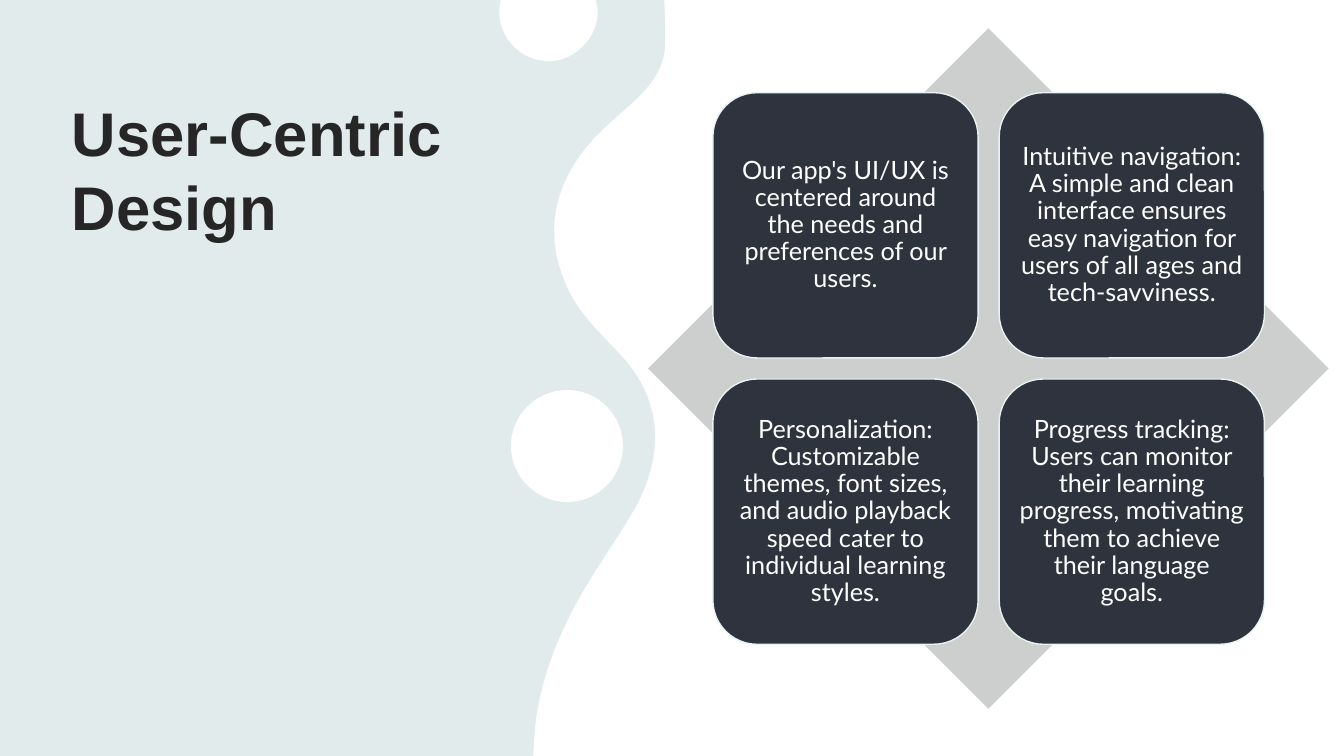
from lxml import etree
from pptx import Presentation
from pptx.dml.color import RGBColor
from pptx.enum.shapes import MSO_SHAPE
from pptx.enum.text import MSO_ANCHOR, MSO_AUTO_SIZE, PP_ALIGN
from pptx.oxml.ns import qn
from pptx.util import Pt

RECTANGLE, DIAMOND = MSO_SHAPE.RECTANGLE, MSO_SHAPE.DIAMOND
ROUNDED_RECTANGLE = MSO_SHAPE.ROUNDED_RECTANGLE
TOP, MIDDLE = MSO_ANCHOR.TOP, MSO_ANCHOR.MIDDLE
LEFT, CENTER = PP_ALIGN.LEFT, PP_ALIGN.CENTER
NO_AUTOFIT = MSO_AUTO_SIZE.NONE

PALE = RGBColor(0xE9, 0xF3, 0xF3)
GRAY = RGBColor(0xAE, 0xAE, 0xAE)
WHITE = RGBColor(0xFF, 0xFF, 0xFF)
SILVER = RGBColor(0xCD, 0xCE, 0xCE)
SLATE = RGBColor(0x2F, 0x33, 0x3D)
CHARCOAL = RGBColor(0x26, 0x26, 0x26)

SLIDE_WIDTH, SLIDE_HEIGHT = 960, 540
CARD_SIZE, CARD_PITCH = 189.5, 204.5
CARDS_LEFT, CARDS_TOP = 509.2, 66.2

WAVE = ((474.5, 0), [
    (966.2, 0), (966.2, 540), (380.9, 540), (381.6, 528.5),
    (383, 501.1, 391, 473.8, 403.9, 446.4),
    (416.9, 418.3, 436.3, 392.4, 452.2, 365.8),
    (474.5, 326.9, 475.9, 285.1, 439.2, 249.1),
    (426.2, 235.4, 411.8, 221, 404.6, 203.8),
    (385.2, 159.8, 398.9, 118.8, 439.9, 84.2),
    (455.8, 69.8, 473.8, 56.2, 475.2, 33.1),
    (475.2, 26.6, 475.2, 20.9, 475.2, 14.4),
])
TOP_BUBBLE = ((357.8, 0), [
    (425.5, 0), (427, 6.5),
    (427.7, 22.3, 416.9, 37.4, 401, 42.5),
    (381.9, 47.5, 362.9, 36, 357.8, 17.3),
    (356.4, 13, 356.4, 7.9, 357.1, 3.6),
])
LOWER_BUBBLE = ((405.2, 278.6), [
    (427.2, 278.6, 445, 296.6, 445, 318.6),
    (445, 340.6, 427.2, 358.6, 405.2, 358.6),
    (383.2, 358.6, 365, 340.6, 365, 318.6),
    (365, 296.6, 383.2, 278.6, 405.2, 278.6),
])

CARD_TEXTS = [
    "Our app's UI/UX is centered around the needs and preferences of our users.",
    "Intuitive navigation: A simple and clean interface ensures easy navigation "
    "for users of all ages and tech-savviness.",
    "Personalization: Customizable themes, font sizes, and audio playback speed "
    "cater to individual learning styles.",
    "Progress tracking: Users can monitor their learning progress, motivating "
    "them to achieve their language goals.",
]


def paint(shape, fill, line=None):
    shape.shadow.inherit = False
    shape.fill.solid()
    shape.fill.fore_color.rgb = fill
    if line is None:
        shape.line.fill.background()
    else:
        shape.line.color.rgb = line
        shape.line.width = Pt(1)


def add_shape(slide, kind, left, top, width, height, fill, line=None):
    shape = slide.shapes.add_shape(kind, Pt(left), Pt(top), Pt(width), Pt(height))
    paint(shape, fill, line)
    return shape


def set_opacity(shape, percent):
    color = shape.element.spPr.find(qn("a:solidFill"))[0]
    etree.SubElement(color, qn("a:alpha")).set("val", str(percent * 1000))


def segment_points(segment):
    return [(Pt(x), Pt(y)) for x, y in zip(segment[::2], segment[1::2])]


def bend_curves(shape, segments):
    lines = iter(list(shape.element.iter(qn("a:lnTo"))))
    for segment in segments:
        line = next(lines)
        if len(segment) == 6:
            line.addprevious(etree.Element(qn("a:cubicBezTo")))
            curve = line.getprevious()
            for control in (line, next(lines), next(lines)):
                curve.append(control[0])
                control.getparent().remove(control)


def add_outline(slide, contours, fill):
    builder = None
    for (x, y), segments in contours:
        if builder is None:
            builder = slide.shapes.build_freeform(Pt(x), Pt(y))
        else:
            builder.move_to(Pt(x), Pt(y))
        points = [point for segment in segments for point in segment_points(segment)]
        builder.add_line_segments(points, close=True)
    shape = builder.convert_to_shape()
    bend_curves(shape, [segment for _, segments in contours for segment in segments])
    paint(shape, fill)


def write(paragraph, text, font, size, color, bold=False):
    run = paragraph.add_run()
    run.text = text
    run.font.name = font
    run.font.size = Pt(size)
    run.font.color.rgb = color
    run.font.bold = bold


def set_title(slide, text):
    title = slide.shapes.title
    title.element.getparent().append(title.element)
    title.left, title.top = Pt(44.2), Pt(64.1)
    title.width, title.height = Pt(291.6), Pt(426.2)
    frame = title.text_frame
    frame.auto_size = NO_AUTOFIT
    frame.word_wrap = True
    frame.vertical_anchor = TOP
    paragraph = frame.paragraphs[0]
    paragraph.alignment = LEFT
    paragraph.line_spacing = 1.0
    write(paragraph, text, "Arial", 44, CHARCOAL, bold=True)


def add_card(slide, left, top, text):
    card = add_shape(slide, ROUNDED_RECTANGLE, left, top, CARD_SIZE, CARD_SIZE,
                     SLATE, PALE)
    frame = card.text_frame
    frame.word_wrap = True
    frame.vertical_anchor = MIDDLE
    frame.margin_left = frame.margin_right = Pt(5.4)
    frame.margin_top = frame.margin_bottom = Pt(5.4)
    paragraph = frame.paragraphs[0]
    paragraph.alignment = CENTER
    paragraph.line_spacing = 0.9
    paragraph.space_after = Pt(6.3)
    write(paragraph, text, "Lato", 18, WHITE)


def main():
    presentation = Presentation()
    presentation.slide_width = Pt(SLIDE_WIDTH)
    presentation.slide_height = Pt(SLIDE_HEIGHT)
    slide = presentation.slides.add_slide(presentation.slide_layouts[5])
    slide.background.fill.solid()
    slide.background.fill.fore_color.rgb = PALE
    add_shape(slide, RECTANGLE, 0, 0, SLIDE_WIDTH, SLIDE_HEIGHT, PALE)
    veil = add_shape(slide, RECTANGLE, 0, 0, SLIDE_WIDTH, SLIDE_HEIGHT, GRAY)
    set_opacity(veil, 10)
    add_outline(slide, [LOWER_BUBBLE, TOP_BUBBLE, WAVE], WHITE)
    set_title(slide, "User-Centric Design")
    add_shape(slide, DIAMOND, 463, 20.2, 486, 486, SILVER)
    for index, text in enumerate(CARD_TEXTS):
        row, column = divmod(index, 2)
        add_card(slide, CARDS_LEFT + column * CARD_PITCH,
                 CARDS_TOP + row * CARD_PITCH, text)
    presentation.save("out.pptx")


if __name__ == "__main__":
    main()
